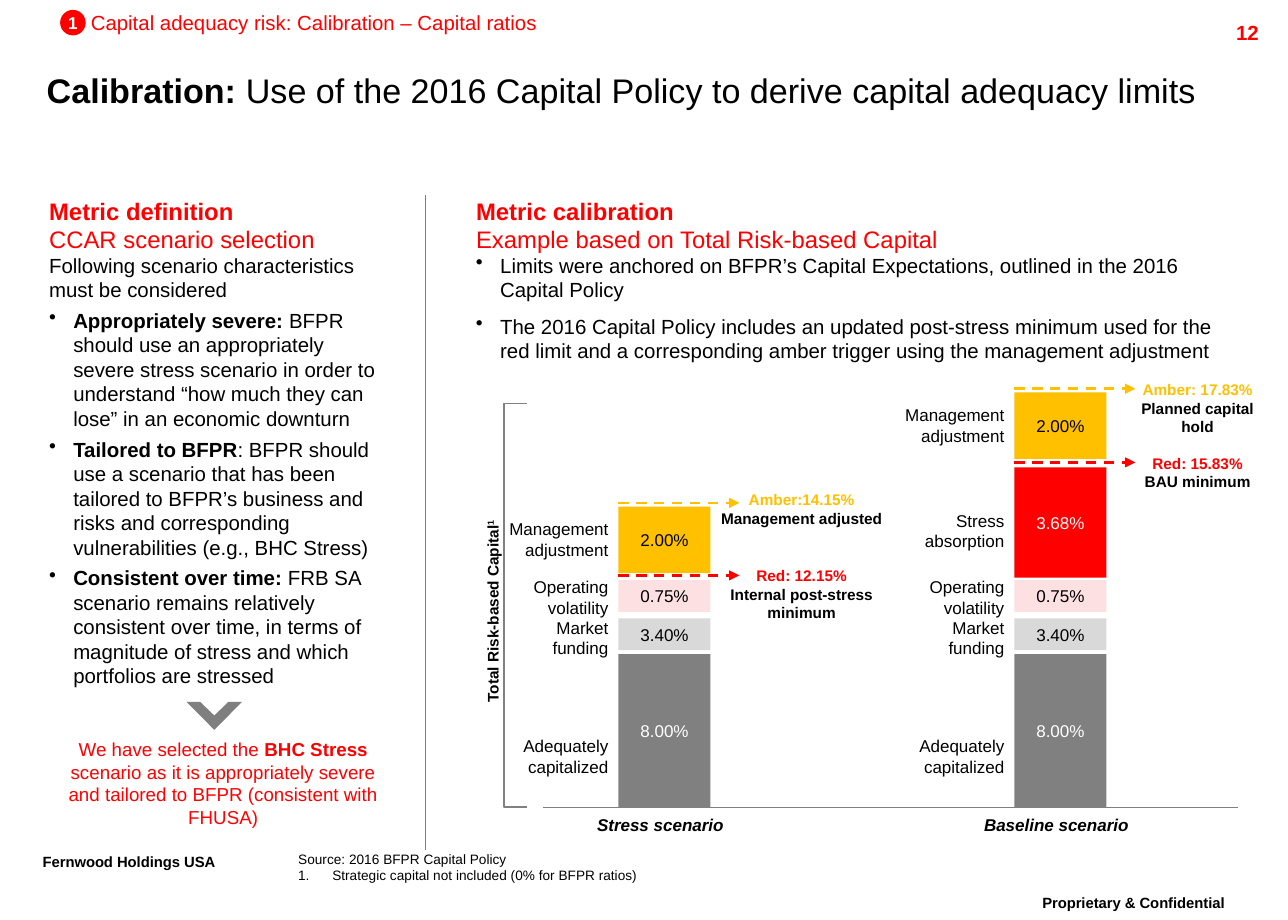
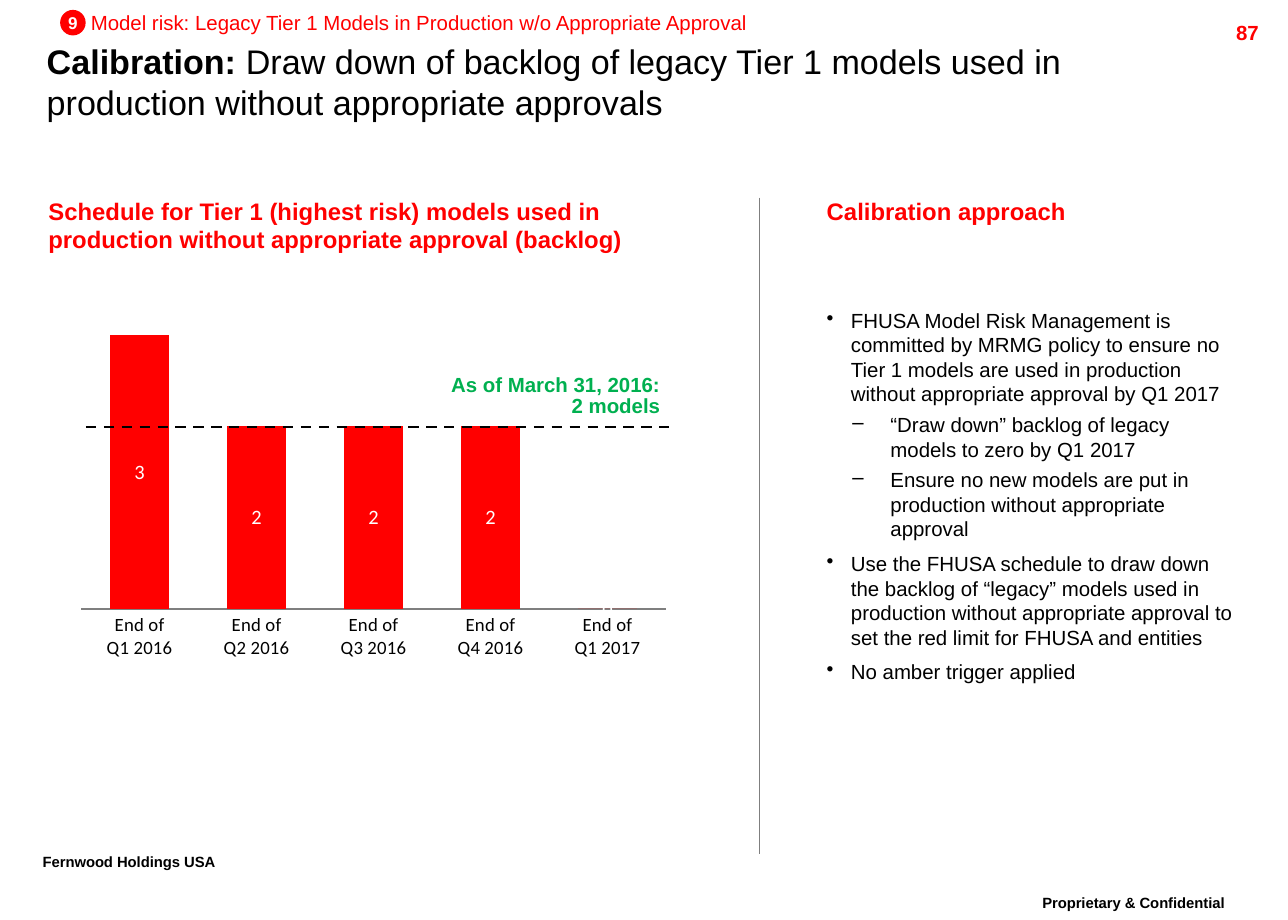
from lxml import etree
from pptx import Presentation
from pptx.chart.data import CategoryChartData
from pptx.dml.color import RGBColor
from pptx.enum.chart import XL_CHART_TYPE, XL_TICK_MARK
from pptx.enum.dml import MSO_LINE
from pptx.enum.shapes import MSO_CONNECTOR, MSO_SHAPE
from pptx.enum.text import MSO_ANCHOR, PP_ALIGN
from pptx.oxml.ns import qn
from pptx.util import Pt

LEFT, MID, RIGHT = PP_ALIGN.LEFT, PP_ALIGN.CENTER, PP_ALIGN.RIGHT
TOP, CORE, BASE = MSO_ANCHOR.TOP, MSO_ANCHOR.MIDDLE, MSO_ANCHOR.BOTTOM
RECT, OVAL, BRACE = MSO_SHAPE.RECTANGLE, MSO_SHAPE.OVAL, MSO_SHAPE.LEFT_BRACKET
LINE, DASH = MSO_CONNECTOR.STRAIGHT, MSO_LINE.DASH
STACK, NONE = XL_CHART_TYPE.COLUMN_STACKED, XL_TICK_MARK.NONE

HUES = {
    "red": "FF0000", "amber": "FFC000", "green": "00B050", "black": "000000",
    "white": "FFFFFF", "gray": "808080", "rule": "7F7F7F",
    "pink": "FCE0E2", "silver": "D9D9D9",
}
BULLETS = {
    "•": (14.2, -14.2, "buChar", {"char": "•"}),
    "–": (37.4, -22.3, "buChar", {"char": "–"}),
    "1.": (20, -20, "buAutoNum", {"type": "arabicPeriod"}),
}

OWNER = "Fernwood Holdings USA"
NOTICE = "Proprietary & Confidential"

CRITERIA = [
    ("", 0, "Following scenario characteristics must be considered"),
    ("•", 3.6, "*Appropriately severe:* BFPR should use an appropriately severe "
     "stress scenario in order to understand “how much they can lose” in an "
     "economic downturn"),
    ("•", 3.6, "*Tailored to BFPR*: BFPR should use a scenario that has been "
     "tailored to BFPR’s business and risks and corresponding vulnerabilities "
     "(e.g., BHC Stress)"),
    ("•", 3.6, "*Consistent over time: *FRB SA scenario remains relatively "
     "consistent over time, in terms of magnitude of stress and which "
     "portfolios are stressed"),
]
CHOICE = ("We have selected the *BHC Stress *scenario as it is appropriately "
          "severe and tailored to BFPR (consistent with FHUSA)")
POLICY = [
    ("•", 0, "Limits were anchored on BFPR’s Capital Expectations, outlined in "
     "the 2016 Capital Policy"),
    ("•", 7, "The 2016 Capital Policy includes an updated post-stress minimum "
     "used for the red limit and a corresponding amber trigger using the "
     "management adjustment"),
]
SOURCES = [
    ("", 0, "Source: 2016 BFPR Capital Policy"),
    ("1.", 0, "Strategic capital not included (0% for BFPR ratios)"),
]

COMMON = [
    ("Operating volatility", "0.75%", "pink", "black", 340.5, 18.7, 338.4),
    ("Market funding", "3.40%", "silver", "black", 363, 18.7, 362.2),
    ("Adequately capitalized", "8.00%", "gray", "white", 384, 90, 432),
]
SCENARIOS = [
    ("Stress scenario", 363,
     [("Management adjustment", "2.00%", "amber", "black", 297.4, 39, 304.6)],
     [("amber", 295.2, 288, ["Amber:14.15%", "Management adjusted"]),
      ("red", 337.7, 332.6, ["Red: 12.15%", "Internal post-stress minimum"])]),
    ("Baseline scenario", 595.4,
     [("Management adjustment", "2.00%", "amber", "black", 230.4, 39, 237.6),
      ("Stress absorption", "3.68%", "red", "white", 274.3, 64.8, 299.5)],
     [("amber", 228.2, 223.2, ["Amber: 17.83%", "Planned capital", "hold"]),
      ("red", 271.4, 266.4, ["Red: 15.83%", "BAU minimum"])]),
]
CHEVRON = [(109.5, 412), (117.5, 412), (125.8, 420), (134, 412),
           (142, 412), (125.8, 428.4)]

BACKLOG = {"Q1 2016": 3, "Q2 2016": 2, "Q3 2016": 2, "Q4 2016": 2, "Q1 2017": 0}
APPROACH = [
    ("•", 0, "FHUSA Model Risk Management is committed by MRMG policy to ensure "
     "no Tier 1 models are used in production without appropriate approval by "
     "Q1 2017"),
    ("–", 3.6, "“Draw down” backlog of legacy models to zero by Q1 2017"),
    ("–", 3.6, "Ensure no new models are put in production without appropriate "
     "approval"),
    ("•", 6, "Use the FHUSA schedule to draw down the backlog of “legacy” models "
     "used in production without appropriate approval to set the red limit for "
     "FHUSA and entities"),
    ("•", 6, "No amber trigger applied"),
]


def rgb(hue):
    return RGBColor.from_string(HUES[hue])


def lift(run):
    run.font._element.set("baseline", "30000")


def fill(frame, paras, size, hue="black", bold=False, align=LEFT,
         anchor=TOP, pad=(0, 0), lead=None):
    frame.word_wrap = True
    frame.vertical_anchor = anchor
    frame.margin_left = frame.margin_right = Pt(pad[0])
    frame.margin_top = frame.margin_bottom = Pt(pad[1])
    for i, item in enumerate(paras):
        mark, gap, words = ("", 0, item) if isinstance(item, str) else item
        para = frame.paragraphs[0] if i == 0 else frame.add_paragraph()
        if mark:
            left, hang, tag, attrs = BULLETS[mark]
            props = para._p.get_or_add_pPr()
            props.set("marL", str(Pt(left)))
            props.set("indent", str(Pt(hang)))
            etree.SubElement(props, qn("a:" + tag), attrs)
        para.alignment = align
        if gap:
            para.space_before = Pt(gap)
        if lead:
            para.line_spacing = lead
        font = para.font
        font.name, font.size, font.bold = "Arial", Pt(size), bold
        font.color.rgb = rgb(hue)
        for n, part in enumerate(words.split("*")):
            if part:
                run = para.add_run()
                run.text = part
                if n % 2:
                    run.font.bold = True
    return frame.paragraphs


def text(slide, box, paras, size, *args, **style):
    shape = slide.shapes.add_textbox(*map(Pt, box))
    fill(shape.text_frame, paras, size, *args, **style)
    return shape


def block(slide, kind, box, hue):
    shape = slide.shapes.add_shape(kind, *map(Pt, box))
    shape.shadow.inherit = False
    shape.fill.solid()
    shape.fill.fore_color.rgb = rgb(hue)
    shape.line.fill.background()
    return shape


def rule(slide, ends, hue="rule", width=0.75, dash=False, arrow=False):
    line = slide.shapes.add_connector(LINE, *map(Pt, ends))
    line.line.color.rgb = rgb(hue)
    line.line.width = Pt(width)
    if dash:
        line.line.dash_style = DASH
    props = line._element.spPr
    if arrow:
        etree.SubElement(props.find(qn("a:ln")), qn("a:tailEnd"), type="triangle")
    etree.SubElement(props, qn("a:effectLst"))


def page(deck, number, badge, topic, title, top):
    slide = deck.slides.add_slide(deck.slide_layouts[6])
    for words, box, align in ((NOTICE, (586.8, 522, 157, 18), MID),
                              (OWNER, (18, 497.5, 150, 25), LEFT)):
        foot = text(slide, box, [words], 15, bold=True, align=align,
                    pad=(7.2, 3.6), lead=0.86)
        lift(foot.text_frame.paragraphs[0].runs[0])
    text(slide, (674, 8, 72, 17), [number], 12, "red", True, RIGHT, pad=(7.2, 3.6))
    text(slide, (27.4, top, 682.6, 34.6), ["*Calibration: *" + title], 20, anchor=CORE)
    text(slide, (53.3, 5.8, 400, 14.4), [topic], 12, "red")
    disc = block(slide, OVAL, (35.3, 5.8, 15, 15), "red")
    fill(disc.text_frame, [badge], 10, "white", True, MID, CORE)
    return slide


def stack(slide, name, x, extra, limits):
    for label, value, hue, ink, y, tall, at in extra + COMMON:
        bar = block(slide, RECT, (x, y, 54, tall), hue)
        fill(bar.text_frame, [value], 10, ink, align=MID, anchor=CORE)
        text(slide, (x - 68, at, 62, 24.5), [label], 10, align=RIGHT)
    for hue, y, at, words in limits:
        rule(slide, (x, y, x + 71, y), hue, 1.5, True, True)
        note = text(slide, (x + 56.5, at, 102, 11 * len(words)), words, 9,
                    bold=True, align=MID)
        note.text_frame.paragraphs[0].font.color.rgb = rgb(hue)
    foot = text(slide, (x - 20.8, 478, 90.7, 12.2), [name], 10, bold=True, align=MID)
    foot.text_frame.paragraphs[0].font.italic = True


def capital(deck):
    slide = page(deck, "12", "1", "Capital adequacy risk: Calibration – Capital ratios",
                 "Use of the 2016 Capital Policy to derive capital adequacy limits", 35.3)
    text(slide, (28.8, 115.2, 217, 34), ["*Metric definition*", "CCAR scenario selection"],
         14, "red")
    text(slide, (28.8, 148.3, 198, 260), CRITERIA, 12)
    build = slide.shapes.build_freeform(*map(Pt, CHEVRON[0]), scale=1.0)
    build.add_line_segments([(Pt(x), Pt(y)) for x, y in CHEVRON[1:]], close=True)
    arrow = build.convert_to_shape()
    arrow.shadow.inherit = False
    arrow.fill.solid()
    arrow.fill.fore_color.rgb = rgb("rule")
    arrow.line.fill.background()
    text(slide, (31.7, 429.8, 198.7, 60.5), [CHOICE], 11, "red", align=MID, pad=(7.2, 3.6))
    rule(slide, (249.8, 114.5, 249.8, 499))

    text(slide, (279.4, 115.2, 447, 34),
         ["*Metric calibration*", "Example based on Total Risk-based Capital"], 14, "red")
    text(slide, (279.4, 148.3, 448.6, 65.5), POLICY, 12)
    brace = block(slide, BRACE, (295.9, 236.9, 13.7, 236.9), "white")
    brace.adjustments[0] = 0
    brace.fill.background()
    brace.line.color.rgb = rgb("gray")
    brace.line.width = Pt(1)
    axis = text(slide, (170.6, 350, 236.9, 18), ["Total Risk-based Capital"], 9,
                bold=True, align=MID, pad=(7.2, 3.6))
    axis.rotation = 270
    mark = axis.text_frame.paragraphs[0].add_run()
    mark.text = "1"
    lift(mark)
    for scene in SCENARIOS:
        stack(slide, *scene)
    rule(slide, (319, 474.2, 726.5, 474.2))
    text(slide, (175, 499, 414, 19.4), SOURCES, 8, anchor=BASE)


def columns(slide):
    data = CategoryChartData()
    data.categories = ["End of\n" + quarter for quarter in BACKLOG]
    data.add_series("Series 1", list(BACKLOG.values()))
    box = map(Pt, (28.8, 169.9, 377.3, 226))
    chart = slide.shapes.add_chart(STACK, *box, data).chart
    chart.has_legend = chart.has_title = False
    chart.font.name, chart.font.size = "Calibri", Pt(11)
    chart.font.color.rgb = rgb("black")
    plot = chart.plots[0]
    plot.gap_width, plot.overlap, plot.vary_by_categories = 99, 100, False
    bars = plot.series[0]
    bars.format.fill.solid()
    bars.format.fill.fore_color.rgb = rgb("red")
    labels = bars.data_labels
    labels.show_value = True
    labels.font.size = Pt(12)
    labels.font.color.rgb = rgb("white")
    cats, vals = chart.category_axis, chart.value_axis
    cats.major_tick_mark = cats.minor_tick_mark = NONE
    cats.format.line.color.rgb = rgb("rule")
    cats.tick_labels.font.size = Pt(11)
    vals.visible = vals.has_major_gridlines = False
    vals.minimum_scale, vals.maximum_scale = 0, 3.5
    area = chart._chartSpace.find(".//" + qn("c:plotArea"))
    for old in area.findall(qn("c:layout")):
        area.remove(old)
    layout = etree.Element(qn("c:layout"))
    manual = etree.SubElement(layout, qn("c:manualLayout"))
    for tag, val in (("layoutTarget", "inner"), ("xMode", "edge"), ("yMode", "edge"),
                     ("x", "0.05"), ("y", "0"), ("w", "0.91"), ("h", "0.83")):
        etree.SubElement(manual, qn("c:" + tag), val=val)
    area.insert(0, layout)


def models(deck):
    slide = page(deck, "87", "9",
                 "Model risk: Legacy Tier 1 Models in Production w/o Appropriate Approval",
                 "Draw down of backlog of legacy Tier 1 models used in production "
                 "without appropriate approvals", 30.2)
    text(slide, (28.4, 115.2, 378, 36.7),
         ["Schedule for Tier 1 (highest risk) models used in production without "
          "appropriate approval (backlog)"], 14, "red", True)
    text(slide, (485.3, 115.2, 242.6, 26.6), ["Calibration approach"], 14, "red", True)
    text(slide, (485.3, 180.7, 242.6, 320), APPROACH, 12)
    rule(slide, (445.7, 116, 445.7, 501))
    columns(slide)
    rule(slide, (50.4, 250.6, 393, 250.6), "black", 1.5, True)
    text(slide, (240, 216.7, 154.6, 32.4), ["As of March 31, 2016:", "2 models"], 12,
         "green", True, RIGHT, pad=(7.2, 3.6), lead=0.86)


def main():
    deck = Presentation()
    deck.slide_width, deck.slide_height = Pt(756), Pt(540)
    capital(deck)
    models(deck)
    deck.save("out.pptx")


if __name__ == "__main__":
    main()
